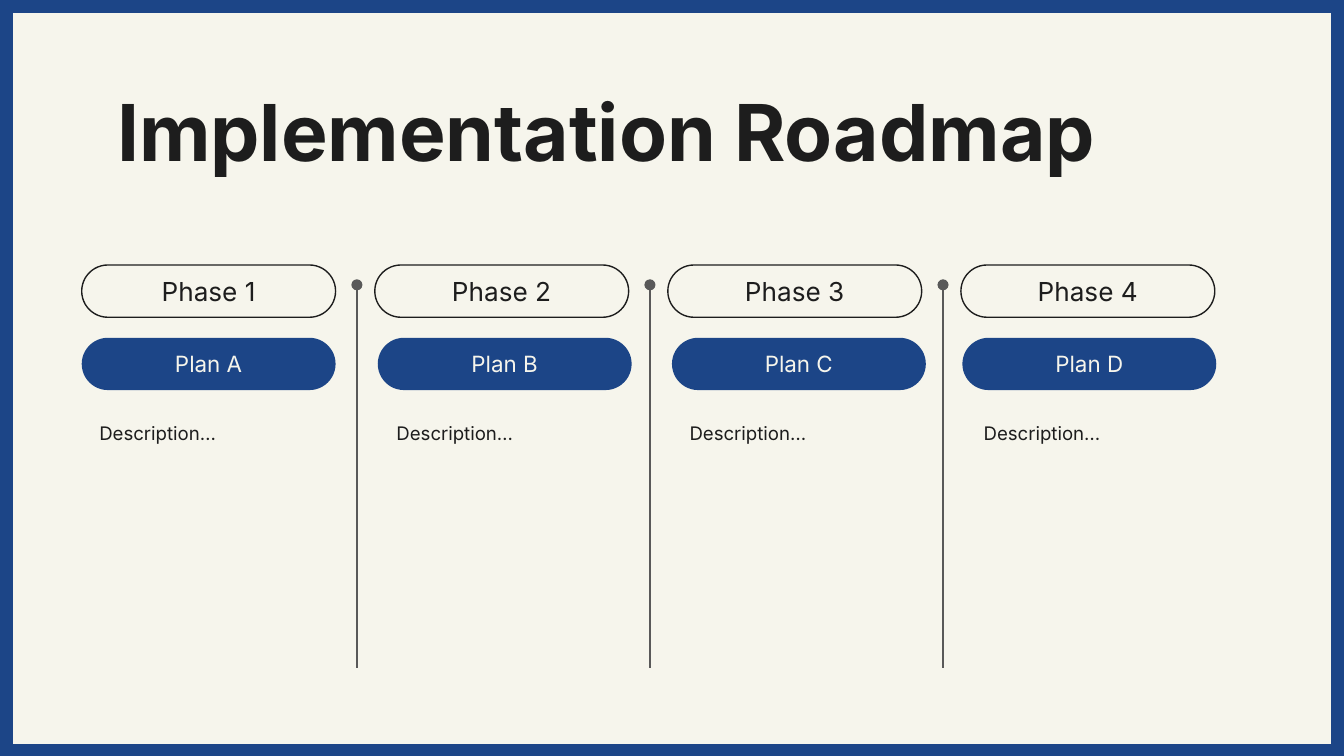
from dataclasses import dataclass

from pptx import Presentation
from pptx.dml.color import RGBColor
from pptx.enum import shapes, text
from pptx.oxml import ns, xmlchemy as xc
from pptx.util import Pt


@dataclass(frozen=True)
class Theme:
    """Colours, font and type sizes of the deck."""
    paper: RGBColor = RGBColor.from_string("F6F5EC")
    ink: RGBColor = RGBColor.from_string("1D1D1D")
    accent: RGBColor = RGBColor.from_string("1C4587")
    rule: RGBColor = RGBColor.from_string("595959")
    font: str = "Inter"
    title: float = 42
    phase: float = 14
    plan: float = 12
    body: float = 10
    hairline: float = 0.75
    border: float = 9


THEME = Theme()
STEP = 157
PHASES = [
    ("Phase 1", "Plan A", 0, 2.2),
    ("Phase 2", "Plan B", 1.6, 4.4),
    ("Phase 3", "Plan C", 2.2, 4.4),
    ("Phase 4", "Plan D", 0.8, 5),
]


def set_attrs(obj, values):
    """Set each named attribute of an object."""
    for name, value in values.items():
        setattr(obj, name, value)


def place(sp, box):
    """Move and size a shape to a box given in points."""
    set_attrs(sp, dict(zip(("left", "top", "width", "height"), map(Pt, box))))


def write(sp, words, size, color, align, anchor, bold=False, spacing=1.0):
    """Fill a shape with one formatted paragraph."""
    tf = sp.text_frame
    margins = dict.fromkeys(
        ("margin_left", "margin_top", "margin_right", "margin_bottom"), Pt(7.2))
    set_attrs(tf, {**margins, "word_wrap": True, "vertical_anchor": anchor,
                   "auto_size": text.MSO_AUTO_SIZE.NONE})
    p = tf.paragraphs[0]
    set_attrs(p, {"alignment": align, "line_spacing": spacing,
                  "space_before": Pt(0)})
    r = p.add_run()
    r.text = words
    set_attrs(r.font, {"name": THEME.font, "size": Pt(size), "bold": bold})
    r.font.color.rgb = color


def add_frame(s, box):
    """Draw the bordered page behind everything else."""
    sp = s.shapes.add_shape(shapes.MSO_SHAPE.RECTANGLE, *map(Pt, box))
    sp.shadow.inherit = False
    sp.fill.solid()
    sp.fill.fore_color.rgb = THEME.paper
    sp.line.color.rgb = THEME.accent
    sp.line.width = Pt(THEME.border)
    s.shapes.title.element.addprevious(sp.element)


def add_title(s, box, words):
    """Place the slide title."""
    sp = s.shapes.title
    place(sp, box)
    write(sp, words, THEME.title, THEME.ink, text.PP_ALIGN.LEFT,
          text.MSO_ANCHOR.TOP, bold=True, spacing=0.8)


def add_pill(s, box, words, size, filled):
    """Draw a rounded label, either filled or outlined."""
    sp = s.shapes.add_shape(shapes.MSO_SHAPE.ROUNDED_RECTANGLE, *map(Pt, box))
    sp.adjustments[0] = 0.5
    sp.shadow.inherit = False
    if filled:
        sp.fill.solid()
        sp.fill.fore_color.rgb = THEME.accent
        sp.line.fill.background()
    else:
        sp.fill.background()
        sp.line.color.rgb = THEME.ink
        sp.line.width = Pt(THEME.hairline)
    write(sp, words, size, THEME.paper if filled else THEME.ink,
          text.PP_ALIGN.CENTER, text.MSO_ANCHOR.MIDDLE)


def add_description(sp, box, words):
    """Place a body placeholder as plain text without a bullet."""
    place(sp, box)
    write(sp, words, THEME.body, THEME.ink, text.PP_ALIGN.LEFT,
          text.MSO_ANCHOR.TOP)
    ppr = sp.text_frame.paragraphs[0]._p.get_or_add_pPr()
    set_bullet = {"marL": "0", "indent": "0"}
    for name, value in set_bullet.items():
        ppr.set(name, value)
    ppr.append(xc.OxmlElement("a:buNone"))


def add_divider(s, x, top, bottom):
    """Draw a vertical rule that starts with a dot."""
    line = s.shapes.add_connector(
        shapes.MSO_CONNECTOR.STRAIGHT, *map(Pt, (x, top, x, bottom)))
    line.line.color.rgb = THEME.rule
    line.line.width = Pt(THEME.hairline)
    head = xc.OxmlElement("a:headEnd")
    head.set("type", "oval")
    sppr = line.element.spPr
    sppr.find(ns.qn("a:ln")).append(head)
    sppr.append(xc.OxmlElement("a:effectLst"))


def add_phase(s, body, box, phase):
    """Build one roadmap column in its box."""
    x, y, w, h = box
    name, plan, plan_shift, text_shift = phase
    add_pill(s, (x, y, w, 28), name, THEME.phase, filled=False)
    add_pill(s, (x + plan_shift, y + 39, w, 28), plan, THEME.plan, filled=True)
    add_description(body, (x + text_shift, y + 77, w - 7, h - 77),
                    "Description…")


def add_roadmap(s, box):
    """Lay out the phases with a divider between neighbours."""
    x, y, w, h = box
    bodies = [sp for sp in s.placeholders if sp != s.shapes.title]
    for i, (body, phase) in enumerate(zip(bodies, PHASES)):
        left = x + i * STEP
        add_phase(s, body, (left, y, w - STEP * (len(PHASES) - 1), h), phase)
        if i:
            add_divider(s, left - 9.6, y + 10.6, y + 216)


def main():
    """Build and save the roadmap slide."""
    prs = Presentation()
    set_attrs(prs, {"slide_width": Pt(720), "slide_height": Pt(405)})
    s = prs.slides.add_slide(prs.slide_layouts.get_by_name("Comparison"))
    s.background.fill.solid()
    s.background.fill.fore_color.rgb = THEME.paper
    add_frame(s, (2.2, 2.2, 715.6, 400.8))
    add_title(s, (55.5, 46.8, 540.7, 105), "Implementation Roadmap")
    add_roadmap(s, (43.8, 142, 607, 212.3))
    prs.save("out.pptx")


if __name__ == "__main__":
    main()
